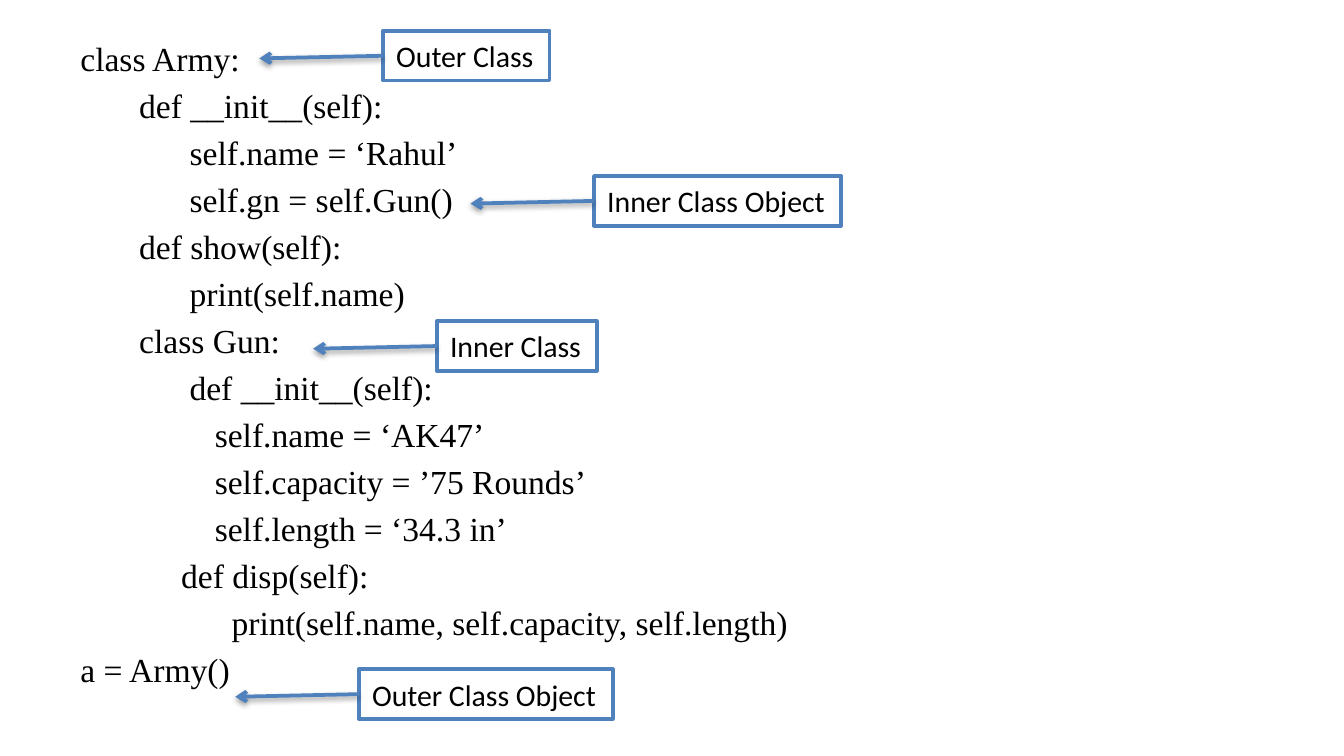
import pptx
import pptx.dml.color
import pptx.enum.shapes
import pptx.enum.text
import pptx.oxml
import pptx.oxml.ns
import pptx.util

Inches, Pt = pptx.util.Inches, pptx.util.Pt
WIDTH = 10
HEIGHT = WIDTH * 9 / 16
COLORS = {"paper": "FFFFFF", "ink": "000000", "accent": "4F81BD"}

# Indent in spaces of the code font, then the line of code
CODE_SIZE = 18
SPACE = CODE_SIZE / 4
CODE = [
    (0, "class Army:"),
    (7, "def __init__(self):"),
    (13, "self.name = ‘Rahul’"),
    (13, "self.gn = self.Gun()"),
    (7, "def show(self):"),
    (13, "print(self.name)"),
    (7, "class Gun:"),
    (13, "def __init__(self):"),
    (16, "self.name = ‘AK47’"),
    (16, "self.capacity = ’75 Rounds’"),
    (16, "self.length = ‘34.3 in’"),
    (12, "def disp(self):"),
    (18, "print(self.name, self.capacity, self.length)"),
    (0, "a = Army()"),
]
# Label, left, top, width
CALLOUTS = [
    ("Inner Class", 3.25, 2.39, 1.19),
    ("Inner Class Object", 4.42, 1.31, 1.84),
    ("Outer Class", 2.85, 0.23, 1.24),
    ("Outer Class Object", 2.67, 4.98, 1.89),
]
CALLOUT_HEIGHT = 0.37
ARROW_RUN, ARROW_DROP = 0.92, 0.02

CODE_FONT = {"name": "Times New Roman", "size": Pt(CODE_SIZE)}
LABEL_FONT = {"name": "Calibri", "size": Pt(16)}
ANCHOR = pptx.enum.text.MSO_ANCHOR
CODE_FRAME = {"word_wrap": True, "vertical_anchor": ANCHOR.TOP}
LABEL_FRAME = {"word_wrap": False, "vertical_anchor": ANCHOR.MIDDLE}

DRAWING = pptx.oxml.ns.nsdecls("a")
ARROWHEAD = f'<a:tailEnd {DRAWING} type="arrow"/>'
SHADOW = (
    f'<a:effectLst {DRAWING}><a:outerShdw blurRad="{Pt(3.1)}" dist="{Pt(1.6)}" '
    f'dir="5400000" rotWithShape="0"><a:srgbClr val="{COLORS["ink"]}">'
    '<a:alpha val="38000"/></a:srgbClr></a:outerShdw></a:effectLst>'
)


def color(name):
    return pptx.dml.color.RGBColor.from_string(COLORS[name])


def apply(target, values):
    for name, value in values.items():
        setattr(target, name, value)


def write(para, text, font):
    para.alignment = pptx.enum.text.PP_ALIGN.LEFT
    span = para.add_run()
    span.text = text
    apply(span.font, font)
    span.font.color.rgb = color("ink")


def outline(shape):
    shape.line.color.rgb = color("accent")
    shape.line.width = Pt(2)


def add_code(page):
    box = page.shapes.add_textbox(*map(Inches, (0.5, 0.23, 0.9 * WIDTH, 5.25)))
    frame = box.text_frame
    apply(frame, CODE_FRAME)
    for row, (indent, text) in enumerate(CODE):
        para = frame.add_paragraph() if row else frame.paragraphs[0]
        para.space_before = Pt(0.2 * CODE_SIZE)
        properties = para._p.get_or_add_pPr()
        properties.set("marL", str(Pt(indent * SPACE)))
        properties.set("indent", "0")
        write(para, text, CODE_FONT)


def add_callout(page, label, left, top, width):
    """Add a framed label with an arrow pointing left at the code."""
    box = page.shapes.add_shape(
        pptx.enum.shapes.MSO_SHAPE.RECTANGLE,
        *map(Inches, (left, top, width, CALLOUT_HEIGHT)))
    box.shadow.inherit = False
    box.fill.solid()
    box.fill.fore_color.rgb = color("paper")
    outline(box)
    apply(box.text_frame, LABEL_FRAME)
    write(box.text_frame.paragraphs[0], label, LABEL_FONT)

    middle = top + CALLOUT_HEIGHT / 2
    arrow = page.shapes.add_connector(
        pptx.enum.shapes.MSO_CONNECTOR.STRAIGHT,
        *map(Inches, (left, middle, left - ARROW_RUN, middle + ARROW_DROP)))
    arrow.begin_connect(box, 1)
    outline(arrow)
    arrow.line._get_or_add_ln().append(pptx.oxml.parse_xml(ARROWHEAD))
    arrow._element.spPr.append(pptx.oxml.parse_xml(SHADOW))


def main():
    deck = pptx.Presentation()
    deck.slide_width, deck.slide_height = Inches(WIDTH), Inches(HEIGHT)
    page = deck.slides.add_slide(deck.slide_layouts[6])
    add_code(page)
    for callout in CALLOUTS:
        add_callout(page, *callout)
    deck.save("out.pptx")


if __name__ == "__main__":
    main()
